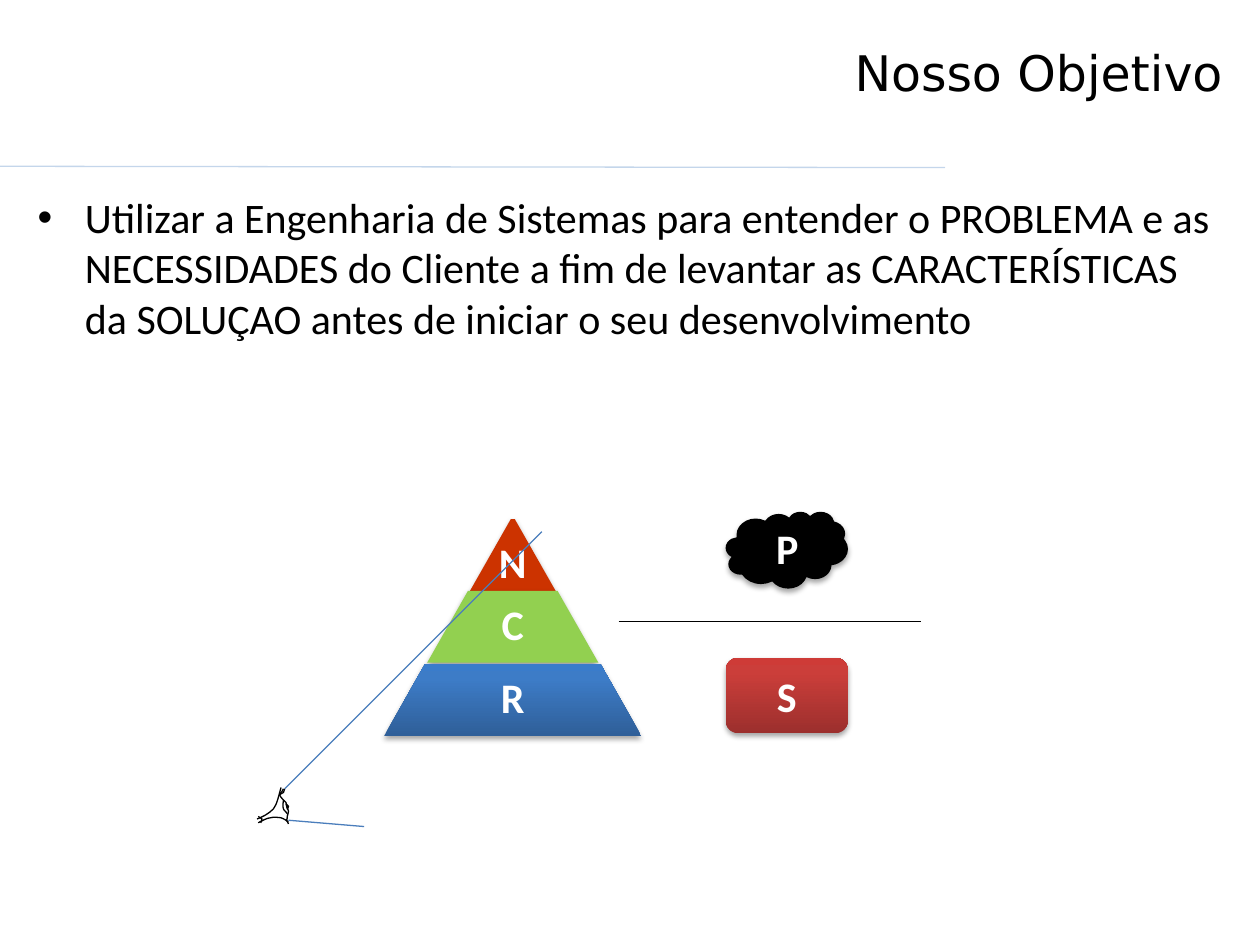
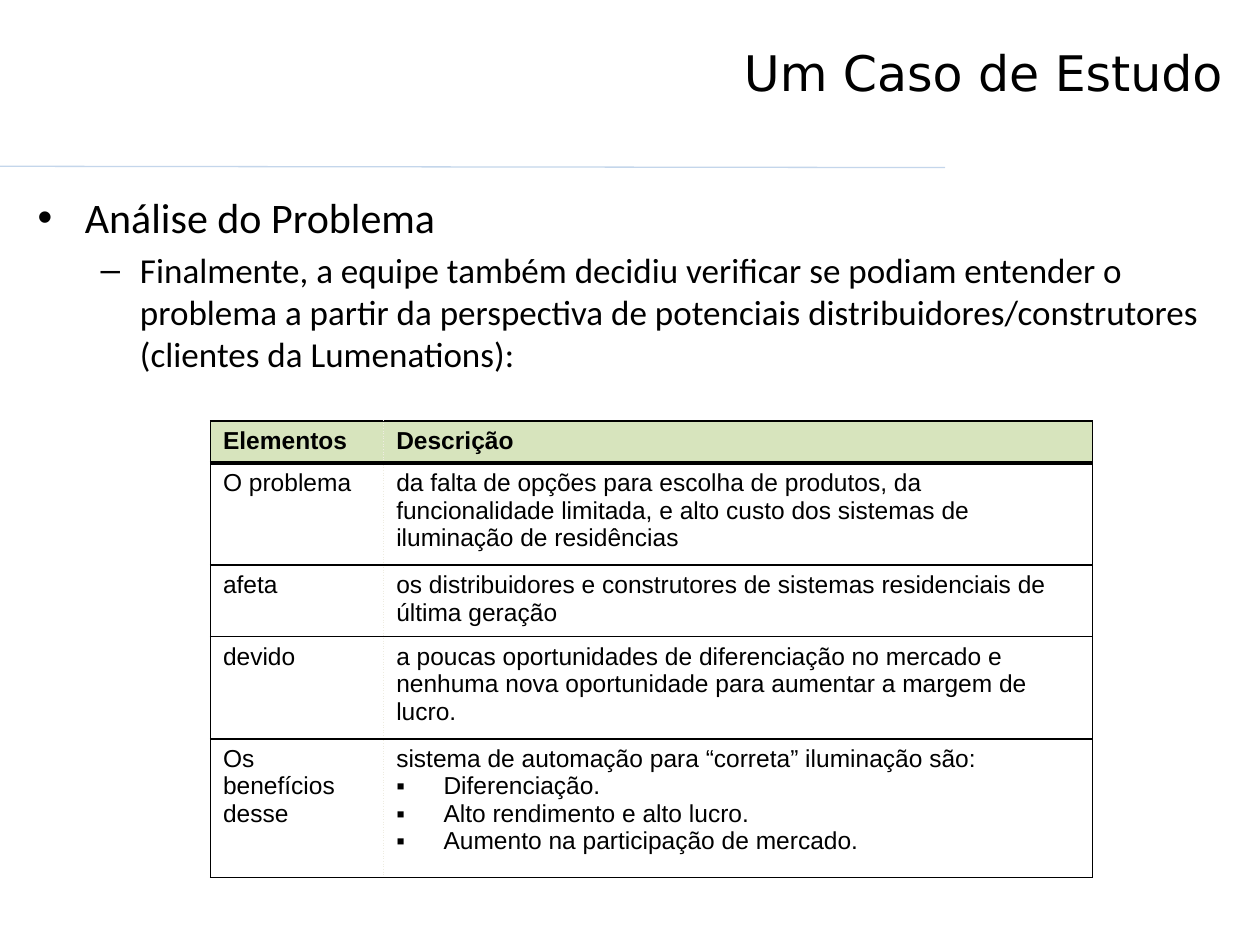
from lxml import etree
from pptx import Presentation
from pptx.dml.color import RGBColor
from pptx.enum.shapes import MSO_CONNECTOR, MSO_SHAPE as SHAPE
from pptx.enum.text import MSO_ANCHOR as ANCHOR, PP_ALIGN as ALIGN
from pptx.oxml import parse_xml
from pptx.oxml.ns import nsdecls, qn
from pptx.util import Inches, Pt

BLACK = RGBColor(0x00, 0x00, 0x00)
WHITE = RGBColor(0xFF, 0xFF, 0xFF)
RULE_BLUE = RGBColor(0xC4, 0xD6, 0xEB)
SIGHT_BLUE = RGBColor(0x4B, 0x7E, 0xBC)
NEED_RED = RGBColor(0xCC, 0x33, 0x00)
FEATURE_GREEN = RGBColor(0x92, 0xD0, 0x50)
HEADER_GREEN = RGBColor(0xD7, 0xE4, 0xBD)
DIVIDER = RGBColor(0xEE, 0xEC, 0xE1)
BLUE_GRADIENT = ("2F5F99", "3D7CC7", "3A7CCB")
RED_GRADIENT = ("9C2F2D", "CB3E3A", "CE3B37")
TITLE_FONT, BODY_FONT, TABLE_FONT = "DejaVu Sans", "Calibri", "Arial"


def write(paragraph, text, size, font, color=BLACK, bold=False, align=ALIGN.LEFT):
    paragraph.text = text
    paragraph.alignment = align
    for run in paragraph.runs:
        run.font.size, run.font.name, run.font.bold = Pt(size), font, bold
        run.font.color.rgb = color


def hang(paragraph, left, depth, bullet=None):
    """Set a hanging indent, in points, with an optional bullet."""
    properties = paragraph._p.get_or_add_pPr()
    properties.set("marL", str(Pt(left)))
    properties.set("indent", str(-Pt(depth)))
    if bullet:
        etree.SubElement(properties, qn("a:buFont")).set("typeface", "Arial")
        etree.SubElement(properties, qn("a:buChar")).set("char", bullet)


presentation = Presentation()
presentation.slide_width, presentation.slide_height = Inches(10), Inches(7.5)

# Titles and bullet text: (level, text)
contents = [
    ("Nosso Objetivo", [
        (0, "Utilizar a Engenharia de Sistemas para entender o PROBLEMA e as "
            "NECESSIDADES do Cliente a fim de levantar as CARACTERÍSTICAS da "
            "SOLUÇAO antes de iniciar o seu desenvolvimento")]),
    ("Um Caso de Estudo", [
        (0, "Análise do Problema"),
        (1, "Finalmente, a equipe também decidiu verificar se podiam entender o "
            "problema a partir da perspectiva de potenciais "
            "distribuidores/construtores (clientes da Lumenations):")]),
]
levels = [(24, 27, 27, "•"), (20, 58.5, 22.5, "–")]
for title, bullets in contents:
    slide = presentation.slides.add_slide(presentation.slide_layouts[6])
    title_box = slide.shapes.add_textbox(Inches(0.18), Inches(0.29), Inches(9.62), Inches(1.01))
    title_box.text_frame.word_wrap = True
    write(title_box.text_frame.paragraphs[0], title, 28, TITLE_FONT, align=ALIGN.RIGHT)
    body = slide.shapes.add_textbox(Inches(0.2), Inches(1.47), Inches(9.61), Inches(5.2))
    body.text_frame.word_wrap = True
    for index, (level, text) in enumerate(bullets):
        paragraph = body.text_frame.add_paragraph() if index else body.text_frame.paragraphs[0]
        size, left, depth, bullet = levels[level]
        paragraph.level = level
        hang(paragraph, left, depth, bullet)
        write(paragraph, text, size, BODY_FONT)
        if index:
            paragraph.space_before = Pt(0.2 * size)
goal_slide, case_slide = presentation.slides

# Pyramid bands, problem cloud and solution box
figures = [
    (SHAPE.TRAPEZOID, 3.73, 4.12, 0.68, 0.57, NEED_RED, None),
    (SHAPE.TRAPEZOID, 3.39, 4.69, 1.36, 0.57, FEATURE_GREEN, None),
    (SHAPE.TRAPEZOID, 3.05, 5.27, 2.04, 0.57, BLUE_GRADIENT, None),
    (SHAPE.CLOUD, 5.76, 4.06, 0.97, 0.61, BLACK, " P"),
    (SHAPE.ROUNDED_RECTANGLE, 5.76, 5.22, 0.97, 0.6, RED_GRADIENT, "S"),
]
for kind, left, top, width, height, fill, letter in figures:
    shape = goal_slide.shapes.add_shape(
        kind, Inches(left), Inches(top), Inches(width), Inches(height))
    shape.line.fill.background()
    if kind == SHAPE.TRAPEZOID:
        shape.adjustments[0] = 0.569
    if isinstance(fill, RGBColor):
        shape.fill.solid()
        shape.fill.fore_color.rgb = fill
    else:
        stops = "".join(f'<a:gs pos="{position}000"><a:srgbClr val="{color}"/></a:gs>'
                        for position, color in zip((0, 80, 100), fill))
        shape._element.spPr.find(qn("a:prstGeom")).addnext(parse_xml(
            f'<a:gradFill {nsdecls("a")} rotWithShape="1"><a:gsLst>{stops}</a:gsLst>'
            '<a:lin ang="16200000" scaled="0"/></a:gradFill>'))
    shape.shadow.inherit = False
    shape._element.spPr.find(qn("a:effectLst")).append(parse_xml(
        f'<a:outerShdw {nsdecls("a")} blurRad="{Pt(3.1)}" dist="{Pt(1.8)}" dir="5400000" '
        'rotWithShape="0"><a:srgbClr val="000000"><a:alpha val="35000"/></a:srgbClr></a:outerShdw>'))
    if letter:
        shape.text_frame.vertical_anchor = ANCHOR.MIDDLE
        write(shape.text_frame.paragraphs[0], letter, 24, BODY_FONT, WHITE, True, ALIGN.CENTER)

# Pyramid letters
for letter, left, top, width, anchor in [("N", 3.73, 4.12, 0.68, ANCHOR.BOTTOM),
                                         ("C", 3.63, 4.69, 0.88, ANCHOR.MIDDLE),
                                         ("R", 3.41, 5.27, 1.32, ANCHOR.MIDDLE)]:
    label = goal_slide.shapes.add_textbox(Inches(left), Inches(top), Inches(width), Inches(0.57))
    frame = label.text_frame
    frame.word_wrap, frame.vertical_anchor = True, anchor
    frame.margin_left = frame.margin_right = frame.margin_top = frame.margin_bottom = Inches(0.03)
    write(frame.paragraphs[0], letter, 24, BODY_FONT, WHITE, True, ALIGN.CENTER)
    frame.paragraphs[0].line_spacing = 0.9

# Observer's eye: Bézier strokes as a start point, then two controls and an end per curve
PUPIL = [(2.27, 6.38), (2.27, 6.4), (2.27, 6.4), (2.28, 6.42), (2.28, 6.43), (2.28, 6.42),
         (2.29, 6.4), (2.28, 6.39), (2.28, 6.39), (2.27, 6.38)]
eye_strokes = [
    [(2.23, 6.25), (2.21, 6.32), (2.2, 6.38), (2.17, 6.42), (2.13, 6.46), (2.09, 6.48), (2.04, 6.5)],
    [(2.29, 6.52), (2.28, 6.52), (2.26, 6.5), (2.23, 6.49), (2.21, 6.49), (2.18, 6.48),
     (2.15, 6.49), (2.12, 6.49), (2.07, 6.52), (2.05, 6.53)],
    [(2.22, 6.31), (2.22, 6.32), (2.25, 6.35), (2.27, 6.37), (2.28, 6.39), (2.28, 6.42),
     (2.29, 6.44), (2.29, 6.46), (2.28, 6.47), (2.28, 6.48), (2.28, 6.5), (2.28, 6.51), (2.27, 6.51)],
    [(2.25, 6.35), (2.25, 6.36), (2.24, 6.4), (2.25, 6.42), (2.25, 6.43), (2.28, 6.45), (2.28, 6.46)],
    PUPIL,
    [(2.07, 6.53), (2.07, 6.53), (2.08, 6.51), (2.08, 6.5), (2.07, 6.49), (2.06, 6.49), (2.05, 6.48)],
    [(2.22, 6.31), (2.22, 6.3), (2.23, 6.29), (2.24, 6.28), (2.24, 6.28), (2.25, 6.26), (2.25, 6.26)],
    [(2.22, 6.31), (2.22, 6.3), (2.24, 6.3), (2.25, 6.29), (2.25, 6.28), (2.26, 6.27), (2.26, 6.26)],
    [(2.27, 6.51), (2.27, 6.51), (2.28, 6.52), (2.28, 6.52), (2.29, 6.53), (2.29, 6.53), (2.29, 6.54)],
]
for stroke in eye_strokes:
    points = [(Inches(x), Inches(y)) for x, y in stroke]
    builder = goal_slide.shapes.build_freeform(*points[0])
    builder.add_line_segments(points[3::3], close=stroke is PUPIL)
    shape = builder.convert_to_shape()
    # Turn each straight segment into a curve by adding its two control points
    for index, segment in enumerate(list(shape._element.iter(qn("a:lnTo")))):
        segment.tag = qn("a:cubicBezTo")
        for position, (x, y) in enumerate(points[3 * index + 1:3 * index + 3]):
            control = etree.Element(qn("a:pt"), x=str(x - shape.left), y=str(y - shape.top))
            segment.insert(position, control)
    shape.shadow.inherit = False
    shape.line.color.rgb, shape.line.width = BLACK, Pt(0.75)
    if stroke is PUPIL:
        shape.fill.solid()
        shape.fill.fore_color.rgb = BLACK
    else:
        shape.fill.background()

# Lines: title rule on both slides, problem/solution divider, lines of sight
for slide, x1, y1, x2, y2, color in [
        (goal_slide, 0, 1.32, 7.5, 1.33, RULE_BLUE),
        (case_slide, 0, 1.32, 7.5, 1.33, RULE_BLUE),
        (goal_slide, 4.91, 4.93, 7.31, 4.93, BLACK),
        (goal_slide, 2.26, 6.26, 4.3, 4.22, SIGHT_BLUE),
        (goal_slide, 2.29, 6.51, 2.89, 6.56, SIGHT_BLUE)]:
    line = slide.shapes.add_connector(
        MSO_CONNECTOR.STRAIGHT, Inches(x1), Inches(y1), Inches(x2), Inches(y2))
    line.line.color.rgb, line.line.width = color, Pt(0.75)
    etree.SubElement(line._element.spPr, qn("a:effectLst"))

# Problem statement table
rows = [
    ("Elementos", ["Descrição"]),
    ("O problema", ["da falta de opções para escolha de produtos, da funcionalidade "
                    "limitada, e alto custo dos sistemas de iluminação de residências"]),
    ("afeta", ["os distribuidores e construtores de sistemas residenciais de última geração"]),
    ("devido", ["a poucas oportunidades de diferenciação no mercado e nenhuma nova "
                "oportunidade para aumentar a margem de lucro."]),
    ("Os benefícios desse", ["sistema de automação para “correta” iluminação são:",
                             "Diferenciação.", "Alto rendimento e alto lucro.",
                             "Aumento na participação de mercado."]),
]
table = case_slide.shapes.add_table(
    len(rows), 2, Inches(1.67), Inches(3.34), Inches(7), Inches(3.62)).table
table.first_row = table.horz_banding = False
table.columns[0].width, table.columns[1].width = Pt(99), Pt(405)
for row_index, height in enumerate((0.33, 0.81, 0.57, 0.81, 1.1)):
    table.rows[row_index].height = Inches(height)
    element, description = rows[row_index]
    for column, texts in enumerate(([element], description)):
        cell = table.cell(row_index, column)
        for index, text in enumerate(texts):
            paragraph = cell.text_frame.add_paragraph() if index else cell.text_frame.paragraphs[0]
            if index:
                hang(paragraph, 27, 27, "▪")
            elif row_index == 0 or len(texts) > 1:
                hang(paragraph, 27, 27)
            write(paragraph, text, 14, TABLE_FONT, bold=row_index == 0)
        if row_index == 0:
            cell.fill.solid()
            cell.fill.fore_color.rgb = HEADER_GREEN
        else:
            cell.fill.background()
        outer, inner = (BLACK, 0.75, "solid"), (DIVIDER, 1, "sysDot")
        borders = [
            ("lnL", *(inner if column else outer)),
            ("lnR", *(outer if column else inner)),
            ("lnT", BLACK, 3 if row_index == 1 else 1, "solid"),
            ("lnB", BLACK, 3 if row_index == 0 else 1, "solid"),
        ]
        for position, (side, color, width, dash) in enumerate(borders):
            cell._tc.get_or_add_tcPr().insert(position, parse_xml(
                f'<a:{side} {nsdecls("a")} w="{Pt(width)}"><a:solidFill><a:srgbClr val="{color}"/>'
                f'</a:solidFill><a:prstDash val="{dash}"/></a:{side}>'))

presentation.save("out.pptx")
